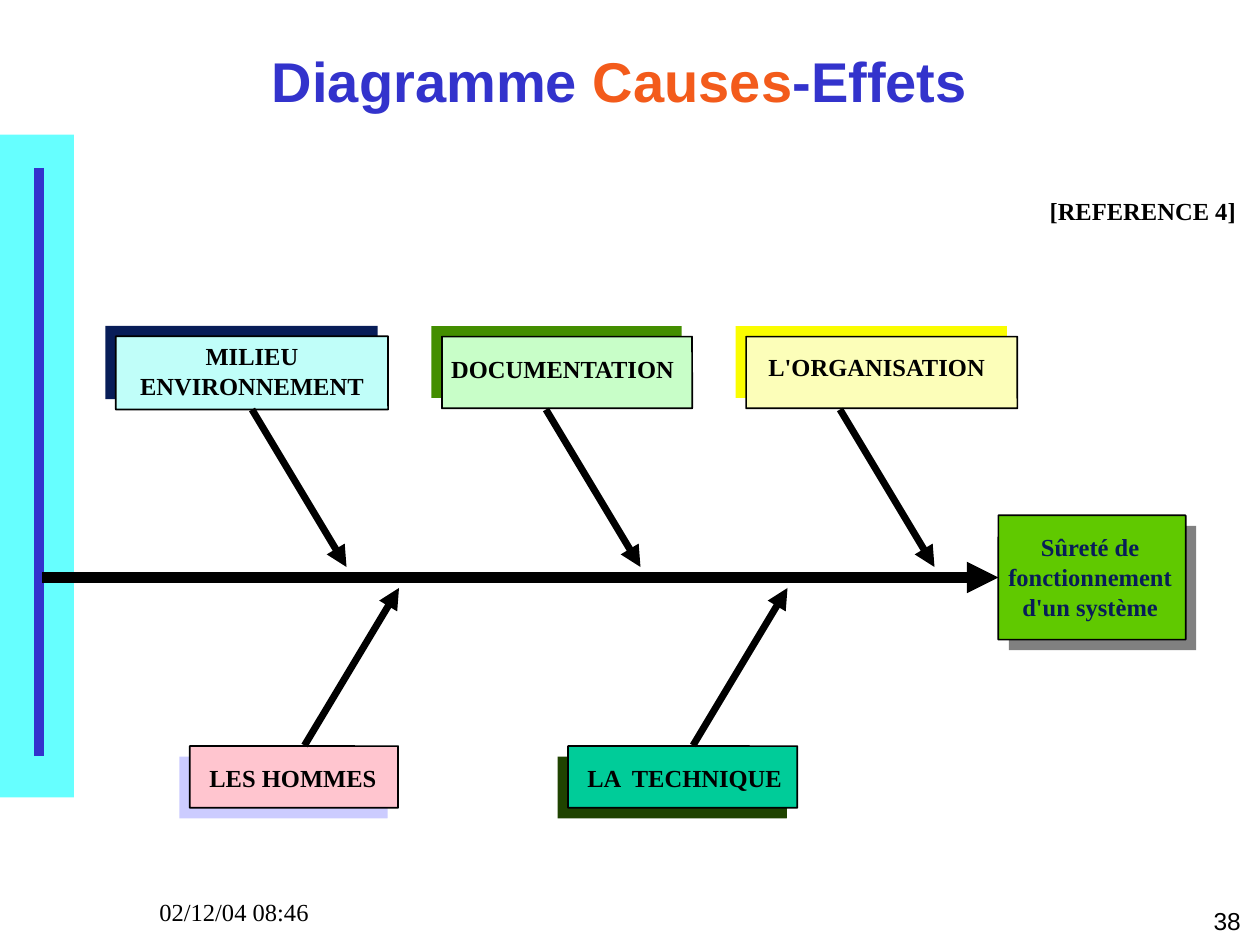
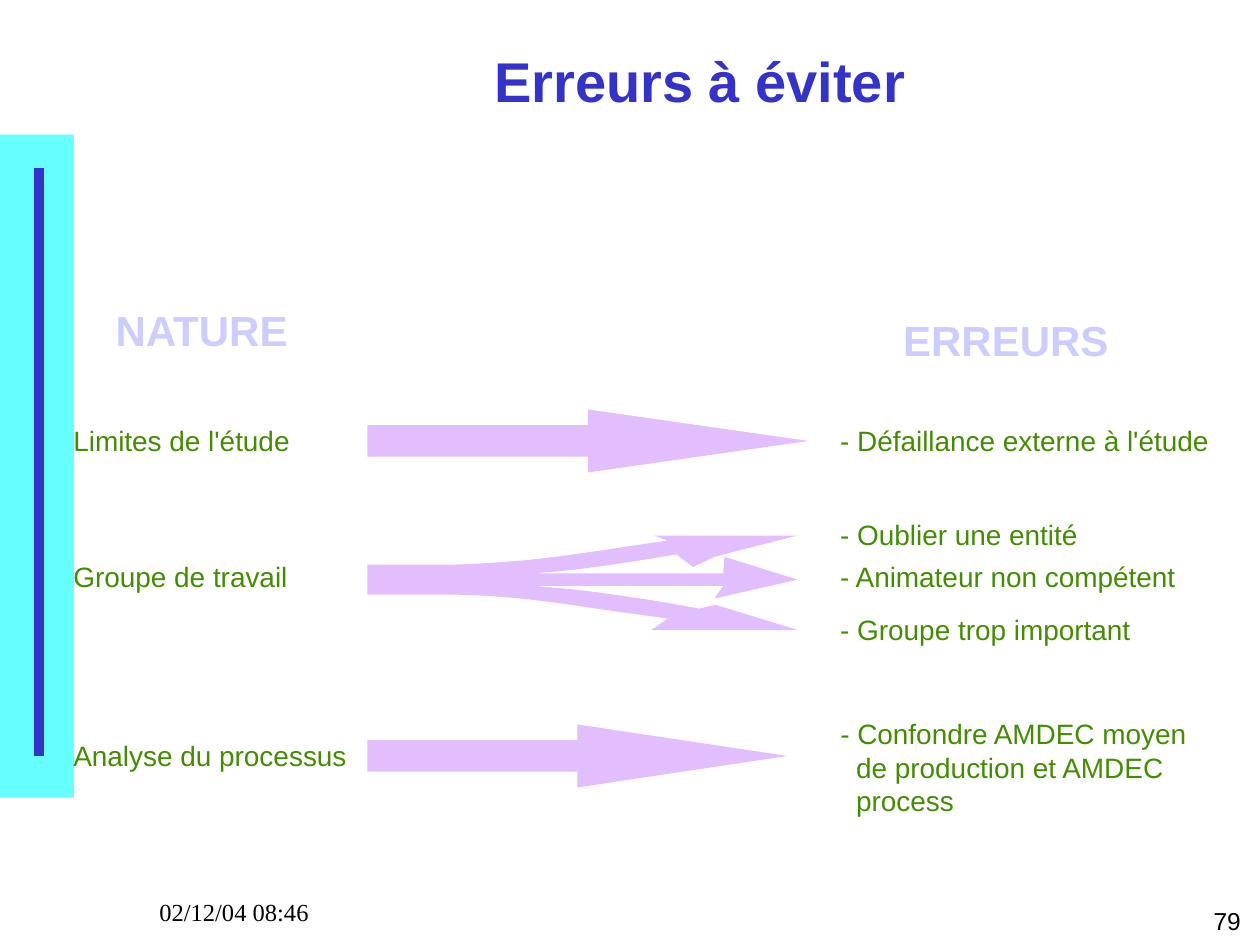
from pptx import Presentation
from pptx.dml.color import RGBColor
from pptx.enum.shapes import MSO_CONNECTOR, MSO_SHAPE
from pptx.enum.text import MSO_ANCHOR, PP_ALIGN
from pptx.oxml.ns import qn
from pptx.util import Pt
from lxml import etree

COLORS = {
    "black": "000000", "blue": "3333CC", "orange": "F35B1B", "cyan": "66FFFF",
    "navy": "081D58", "lavender": "CCCCFF", "green": "438E00", "lilac": "E3BEFF",
    "aqua": "C0FEF9", "mint": "C8FEC8", "cream": "FCFEB9", "yellow": "FAFD00",
    "pink": "FFC5CF", "teal": "00CC99", "forest": "1F4300", "lime": "60C900",
    "gray": "808080",
}
RGB = {name: RGBColor.from_string(value) for name, value in COLORS.items()}

LEFT, CENTER, RIGHT = PP_ALIGN.LEFT, PP_ALIGN.CENTER, PP_ALIGN.RIGHT
FORMATS = {
    "title": ({"name": "Arial", "size": Pt(32), "bold": True}, "blue", 0.93),
    "heading": ({"name": "Arial", "size": Pt(24), "bold": True}, "lavender", 0.93),
    "item": ({"name": "Arial", "size": Pt(16), "bold": False}, "green", 0.93),
    "number": ({"name": "Arial", "size": Pt(14), "bold": False}, "black", 0.93),
    "date": ({"name": "Times New Roman", "size": Pt(14), "bold": False}, "black", 0.95),
    "label": ({"name": "Times New Roman", "size": Pt(14), "bold": True}, "black", 0.95),
    "effect": ({"name": "Times New Roman", "size": Pt(14), "bold": True}, "navy", 0.95),
}


def add_text(s, box, lines, style, align=LEFT, wrap=False):
    """Add a wrapping text box or a fitted unfilled shape; a bar starts a new run."""
    font, color, spacing = FORMATS[style]
    if wrap:
        sp = s.shapes.add_textbox(*map(Pt, box))
    else:
        sp = s.shapes.add_shape(MSO_SHAPE.ROUNDED_RECTANGLE, *map(Pt, box))
        sp.adjustments[0] = 0.005
        sp.shadow.inherit = False
        sp.fill.background()
        sp.line.fill.background()
    tf = sp.text_frame
    tf.word_wrap = wrap
    tf.vertical_anchor = MSO_ANCHOR.TOP
    for i, line in enumerate(lines):
        p = tf.paragraphs[0] if i == 0 else tf.add_paragraph()
        p.alignment = align
        p.line_spacing = spacing
        if i:
            p.space_before = Pt(1.2)
        for text in line.split("|"):
            r = p.add_run()
            r.text = text
            for key, value in font.items():
                setattr(r.font, key, value)
            r.font.color.rgb = RGB[color]
    return tf


def add_line(s, start, end, color, width, arrow=None):
    """Add a line; arrow is headEnd (at start) or tailEnd (at end)."""
    c = s.shapes.add_connector(MSO_CONNECTOR.STRAIGHT, *map(Pt, start + end))
    c.line.color.rgb = RGB[color]
    c.line.width = Pt(width)
    if arrow:
        etree.SubElement(c.line._get_or_add_ln(), qn("a:" + arrow), type="triangle")
    etree.SubElement(c._element.spPr, qn("a:effectLst"))
    return c


prs = Presentation()
prs.slide_width, prs.slide_height = Pt(720), Pt(540)

# Band, title, date and number of both slides
pages = [
    ("Diagramme |Causes|-Effets", (48, 18, 612, 60), "38"),
    ("Erreurs à éviter", (94, 24, 612, 48), "79"),
]
slides, titles = [], []
for title, title_box, number in pages:
    s = prs.slides.add_slide(prs.slide_layouts[6])
    band = s.shapes.add_shape(MSO_SHAPE.RECTANGLE, 0, Pt(77), Pt(42.2), Pt(378.7))
    band.shadow.inherit = False
    band.fill.solid()
    band.fill.fore_color.rgb = RGB["cyan"]
    band.line.fill.background()
    add_line(s, (22.2, 96), (22.2, 432), "blue", 6)
    add_text(s, (566.2, 515.5, 150, 23), [number], "number", RIGHT, True)
    add_text(s, (84, 510, 150, 23), ["02/12/04 08:46"], "date", LEFT, True)
    tf = add_text(s, title_box, [title], "title", CENTER, True)
    tf.vertical_anchor = MSO_ANCHOR.MIDDLE
    slides.append(s)
    titles.append(tf)

# Slide 1: cause and effect diagram
s = slides[0]
titles[0].paragraphs[0].runs[1].font.color.rgb = RGB["orange"]

# name: box, fill, shadow colour, shadow direction
boxes = {
    "technique": ((324.6, 426.4, 131, 35.2), "teal", "forest", (-1, 1)),
    "hommes": ((108.5, 426.4, 119, 35.2), "pink", "lavender", (-1, 1)),
    "organisation": ((426.4, 192.4, 155, 41), "cream", "yellow", (-1, -1)),
    "documentation": ((252.5, 192.4, 143, 41), "mint", "green", (-1, -1)),
    "milieu": ((66.2, 192.2, 155.6, 41.8), "aqua", "navy", (-1, -1)),
    "effet": ((570.5, 294.5, 107, 71), "lime", "gray", (1, 1)),
}
shapes = {}
for name, ((x, y, w, h), fill, shade, (dx, dy)) in boxes.items():
    for color, left, top in ((shade, x + 6 * dx, y + 6 * dy), (fill, x, y)):
        sp = s.shapes.add_shape(MSO_SHAPE.ROUNDED_RECTANGLE, *map(Pt, (left, top, w, h)))
        sp.adjustments[0] = 0.003
        sp.shadow.inherit = False
        sp.fill.solid()
        sp.fill.fore_color.rgb = RGB[color]
        sp.line.fill.background()
    sp.line.color.rgb = RGB["black"]
    sp.line.width = Pt(1)
    shapes[name] = sp

spine = add_line(s, (570.5, 330), (24, 330), "black", 6, "headEnd")
spine.begin_connect(shapes["effet"], 1)
upper = [add_line(s, (x, 234), (x + 54, 324), "black", 4, "tailEnd") for x in (144, 312, 480)]
upper[0].begin_connect(shapes["milieu"], 2)
for x in (174, 396):
    add_line(s, (x, 426), (x + 54, 336), "black", 4, "tailEnd")

labels = [
    ((569, 301.5, 108, 57), ["Sûreté de", "fonctionnement", "d'un système"], "effect", CENTER),
    ((66, 192.4, 156, 40), ["MILIEU", "ENVIRONNEMENT"], "label", CENTER, True),
    ((250.7, 199.7, 144, 23), ["DOCUMENTATION"], "label", LEFT),
    ((432, 198.8, 144, 23), ["L'ORGANISATION"], "label", LEFT, True),
    ((112.5, 433.5, 110, 23), ["LES HOMMES"], "label", LEFT),
    ((328.5, 433.5, 127, 23), ["LA  TECHNIQUE"], "label", LEFT),
    ((592.7, 109.5, 124.6, 23), ["[REFERENCE 4]"], "label", LEFT),
]
for label in labels:
    add_text(s, *label)

# Slide 2: mistakes to avoid
s = slides[1]
add_text(s, (59, 173, 114.5, 34), ["NATURE"], "heading")
add_text(s, (509, 178.5, 132, 34), ["ERREURS"], "heading")
natures = [
    (240, 138, "Limites de l'étude"),
    (317.8, 137, "Groupe de travail"),
    (420, 171, "Analyse du processus"),
]
for top, width, text in natures:
    add_text(s, (34.8, top, width, 25), [text], "item")
errors = [
    (240, 225, ["- Défaillance externe à l'étude"]),
    (294, 150.5, ["- Oublier une entité"]),
    (317.8, 207, ["- Animateur non compétent"]),
    (348, 181, ["- Groupe trop important"]),
    (407.8, 217, ["- Confondre AMDEC moyen", "de production et AMDEC", "process"]),
]
for top, width, lines in errors:
    tf = add_text(s, (473, top, width, 25 + 19 * (len(lines) - 1)), lines, "item")
    for p in tf.paragraphs[1:]:
        p._p.get_or_add_pPr().set("marL", str(Pt(9)))

arrows = []
for top, width in ((234, 252), (414, 240)):
    arrow = s.shapes.add_shape(MSO_SHAPE.RIGHT_ARROW, Pt(210), Pt(top), Pt(width), Pt(36))
    arrow.adjustments[0] = 0.5
    arrow.adjustments[1] = width / 2 / 36
    arrows.append(arrow)

branches = [
    (373.7, 306), (455.8, 306), (408.2, 318.2), (396, 324), (386.6, 316.8),
    (371.5, 319.3), (360, 321.1), (344.9, 323.4), (326.2, 325.8), (306, 327.6),
    (413.3, 327.6), (414, 318.2), (455.8, 331.2), (408.2, 342), (413.3, 334.8),
    (305.3, 334.8), (325.4, 336.6), (342, 338.5), (356.4, 340.6), (372.2, 343),
    (384.5, 345), (399.6, 347.8), (409, 345.6), (455.8, 360), (372.2, 360),
    (381.6, 353.5), (366.5, 351.4), (349.9, 349.1), (335.5, 347), (321.8, 345),
    (308.9, 343.3), (295.2, 341.8), (278.6, 340.5), (261.4, 339.8), (210, 339.8),
    (210, 322.6), (261.4, 322.6), (278.6, 321.8), (299.5, 320.2), (313.2, 318.7),
    (324.7, 317.2), (338.4, 315.3), (350.6, 313.5), (365, 311.3), (381.6, 308.9),
]
points = [(Pt(x), Pt(y)) for x, y in branches]
builder = s.shapes.build_freeform(*points[0])
builder.add_line_segments(points[1:], close=True)
arrows.append(builder.convert_to_shape())
for arrow in arrows:
    arrow.shadow.inherit = False
    arrow.fill.solid()
    arrow.fill.fore_color.rgb = RGB["lilac"]
    arrow.line.fill.background()

prs.save("out.pptx")
